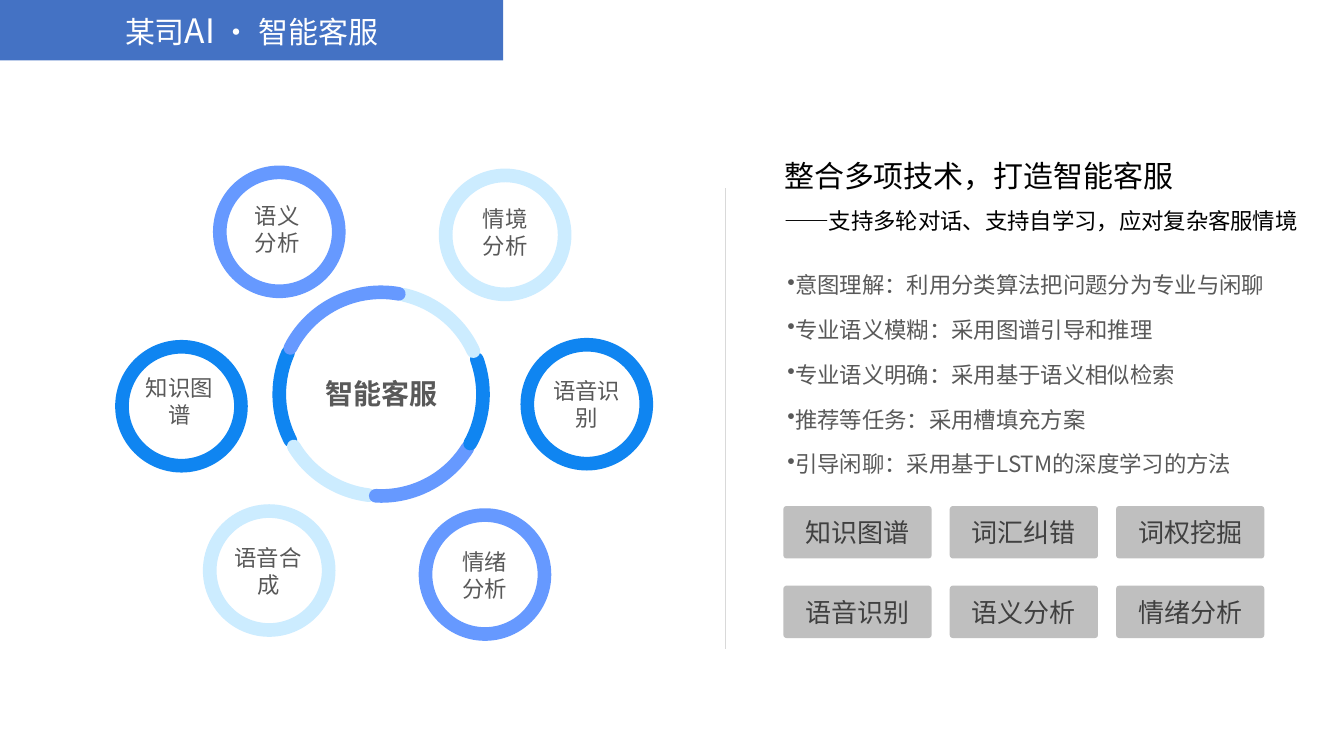
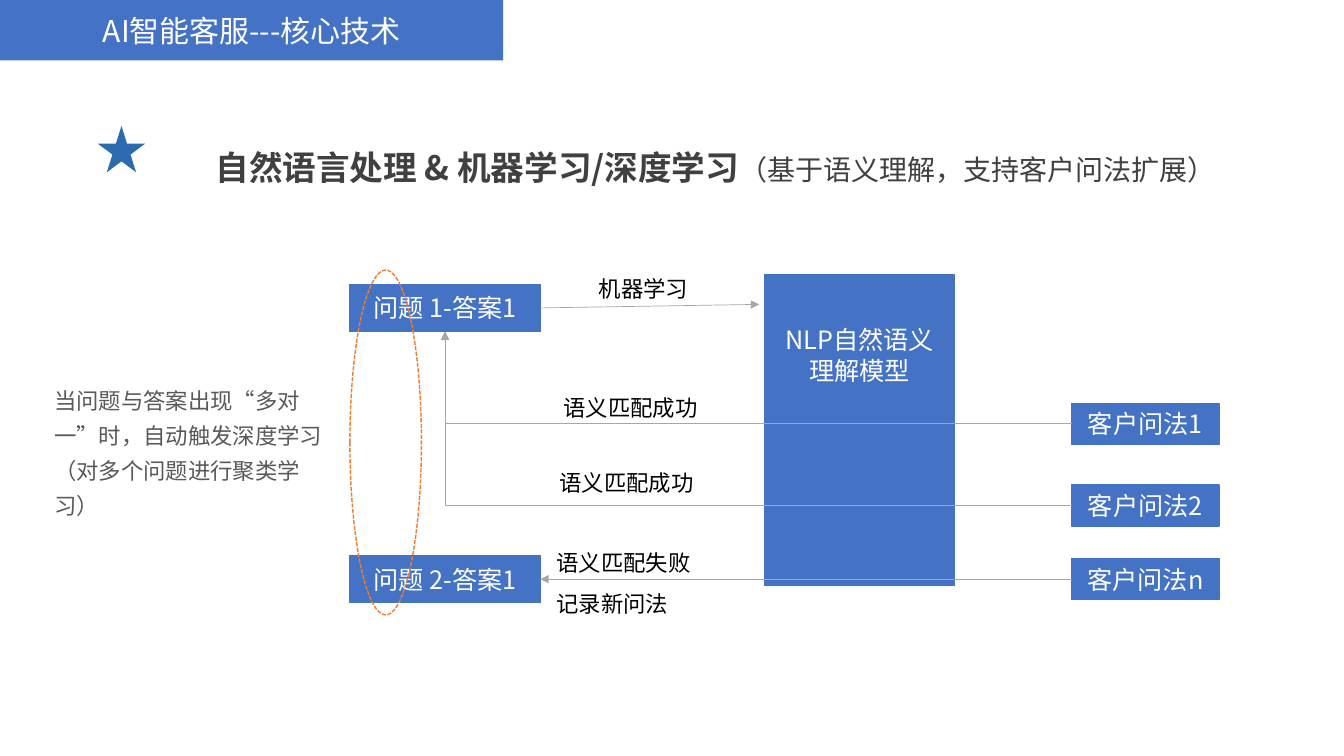
"""Build two slides on an intelligent customer service and its core technology."""
from lxml import etree
from pptx import Presentation
from pptx.dml.color import RGBColor
from pptx.enum.dml import MSO_LINE
from pptx.enum.shapes import MSO_CONNECTOR, MSO_SHAPE
from pptx.enum.text import MSO_ANCHOR, PP_ALIGN
from pptx.oxml.ns import qn
from pptx.util import Inches, Pt

RECT, ROUNDED = MSO_SHAPE.RECTANGLE, MSO_SHAPE.ROUNDED_RECTANGLE
OVAL, ARC, STAR = MSO_SHAPE.OVAL, MSO_SHAPE.ARC, MSO_SHAPE.STAR_5_POINT
STRAIGHT, ELBOW = MSO_CONNECTOR.STRAIGHT, MSO_CONNECTOR.ELBOW
LEFT, CENTER = PP_ALIGN.LEFT, PP_ALIGN.CENTER
TOP, MIDDLE = MSO_ANCHOR.TOP, MSO_ANCHOR.MIDDLE
DASHED = MSO_LINE.SQUARE_DOT
SIDE_LEFT, SIDE_BOTTOM, SIDE_RIGHT = 1, 2, 3

FONT = "Noto Sans CJK SC"
COLORS = {
    "brand": "4472C4", "white": "FFFFFF", "black": "000000",
    "body": "595959", "dark": "404040", "chip": "BFBFBF",
    "divider": "D9D9D9", "link": "A6A6A6", "focus": "ED7D31",
    "star": "2D6BB1", "violet": "6699FF", "azure": "0F85F1", "pale": "CCECFF",
}


def write(shape, *paragraphs, size=16, color="black", bold=False, align=LEFT,
          anchor=TOP, spacing=None, before=0, bullet=None):
    """Fill a shape with paragraphs, each a string or a list of (text, size, bold)."""
    frame = shape.text_frame
    frame.word_wrap = True
    frame.vertical_anchor = anchor
    for index, content in enumerate(paragraphs):
        paragraph = frame.add_paragraph() if index else frame.paragraphs[0]
        paragraph.alignment = align
        if spacing:
            paragraph.line_spacing = spacing
        if index and before:
            paragraph.space_before = Pt(before)
        if bullet:
            properties = paragraph._p.get_or_add_pPr()
            properties.set("marL", "0")
            properties.set("indent", "0")
            etree.SubElement(properties, qn("a:buChar"), char=bullet)
        runs = [(content, size, bold)] if isinstance(content, str) else content
        for text, run_size, run_bold in runs:
            run = paragraph.add_run()
            run.text = text
            run.font.size = Pt(run_size)
            run.font.bold = run_bold
            run.font.color.rgb = RGBColor.from_string(COLORS[color])
            run.font.name = FONT
            etree.SubElement(run._r.get_or_add_rPr(), qn("a:ea"), typeface=FONT)


def draw(slide, kind, left, top, width, height, fill=None, line=None, weight=1):
    """Add a preset shape with a plain fill and outline."""
    shape = slide.shapes.add_shape(
        kind, Inches(left), Inches(top), Inches(width), Inches(height))
    shape.shadow.inherit = False
    if fill:
        shape.fill.solid()
        shape.fill.fore_color.rgb = RGBColor.from_string(COLORS[fill])
    else:
        shape.fill.background()
    if line:
        shape.line.color.rgb = RGBColor.from_string(COLORS[line])
        shape.line.width = Pt(weight)
    else:
        shape.line.fill.background()
    return shape


deck = Presentation()
deck.slide_width, deck.slide_height = Inches(13.33), Inches(7.5)

HEADERS = [
    [("某司", 21.4, False), ("AI", 24, False), (" · 智能客服", 21.4, False)],
    [("AI智能客服---核心技术", 21.4, False)],
]
for header in HEADERS:
    slide = deck.slides.add_slide(deck.slide_layouts[6])
    band = draw(slide, RECT, 0, 0, 4.99, 0.6, fill="brand")
    write(band, header, color="white", align=CENTER, anchor=MIDDLE)
overview, technology = deck.slides

abilities = overview.shapes.add_textbox(
    Inches(7.67), Inches(2.49), Inches(5.44), Inches(2.63))
abilities.text_frame.margin_left = abilities.text_frame.margin_right = Inches(0.14)
abilities.text_frame.margin_top = abilities.text_frame.margin_bottom = Inches(0.07)
write(abilities,
      "意图理解：利用分类算法把问题分为专业与闲聊",
      "专业语义模糊：采用图谱引导和推理",
      "专业语义明确：采用基于语义相似检索",
      "推荐等任务：采用槽填充方案",
      "引导闲聊：采用基于LSTM的深度学习的方法",
      color="body", spacing=1.5, before=3.2, bullet="•")

headline = overview.shapes.add_textbox(
    Inches(7.68), Inches(1.34), Inches(5.5), Inches(1.04))
write(headline, [("整合多项技术，打造智能客服", 21.4, False)],
      "——支持多轮对话、支持自学习，应对复杂客服情境", spacing=1.5)

divider = overview.shapes.add_connector(
    STRAIGHT, Inches(7.19), Inches(1.87), Inches(7.19), Inches(6.44))

RING = 1.18
SATELLITES = [
    ("语义分析", 2.18, 1.71, "violet", 2.34, 1.96, 0.82),
    ("知识图谱", 1.21, 3.44, "azure", 1.33, 3.66, 0.9),
    ("语音合成", 2.08, 5.07, "pale", 2.2, 5.35, 0.92),
    ("语音识别", 5.23, 3.42, "azure", 5.37, 3.69, 0.9),
    ("情绪分析", 4.22, 5.11, "violet", 4.4, 5.39, 0.82),
    ("情境分析", 4.42, 1.74, "pale", 4.6, 1.99, 0.82),
]
for skill, left, top, color, text_left, text_top, text_width in SATELLITES:
    draw(overview, OVAL, left, top, RING, RING, line=color, weight=9.75)
    label = overview.shapes.add_textbox(
        Inches(text_left), Inches(text_top), Inches(text_width), Inches(0.64))
    write(label, skill, color="body", align=CENTER)

HUB_ARCS = [(153, 204, "azure"), (97, 149, "pale"), (32, 93, "violet"),
            (340, 29, "azure"), (283, 335, "pale"), (207, 280, "violet")]
for start, end, color in HUB_ARCS:
    arc = draw(overview, ARC, 2.77, 2.9, 2.02, 2.02, line=color, weight=9.75)
    arc.adjustments[0], arc.adjustments[1] = start * 0.6, end * 0.6
    arc.line._get_or_add_ln().set("cap", "rnd")
hub = overview.shapes.add_textbox(
    Inches(2.98), Inches(3.69), Inches(1.61), Inches(0.44))
write(hub, "智能客服", size=20, color="body", bold=True, align=CENTER)

MODULES = ["知识图谱", "词汇纠错", "词权挖掘", "语音识别", "语义分析", "情绪分析"]
for index, module in enumerate(MODULES):
    row, column = divmod(index, 3)
    chip = draw(overview, ROUNDED, 7.77 + 1.65 * column, 5.02 + 0.79 * row,
                1.47, 0.52, fill="chip")
    chip.adjustments[0] = 0.06
    write(chip, module, size=18.6, color="dark", align=CENTER, anchor=MIDDLE)

topic = technology.shapes.add_textbox(
    Inches(0.96), Inches(1.01), Inches(12.28), Inches(0.91))
write(topic, [("自然语言处理 & 机器学习/深度学习", 24, True),
              ("（基于语义理解，支持客户问法扩展）", 20, False)],
      color="dark", align=CENTER, spacing=2)
draw(technology, STAR, 0.97, 1.25, 0.47, 0.46, fill="star")

model = draw(technology, RECT, 7.58, 2.73, 1.89, 3.08, fill="brand", line="brand")
model.text_frame.margin_top = Inches(0.49)
write(model, "NLP自然语义理解模型", size=18, color="white", align=CENTER)

NODES = [
    ("问题 1-答案1", 3.47, 2.82, 1.89, 0.47),
    ("问题 2-答案1", 3.47, 5.51, 1.89, 0.47),
    ("客户问法1", 10.63, 4, 1.46, 0.41),
    ("客户问法2", 10.63, 4.81, 1.46, 0.41),
    ("客户问法n", 10.63, 5.54, 1.46, 0.41),
]
nodes = []
for caption, *place in NODES:
    node = draw(technology, RECT, *place, fill="brand", line="brand")
    write(node, caption, size=18, color="white", align=CENTER, anchor=MIDDLE)
    nodes.append(node)
answer_1, answer_2, query_1, query_2, query_n = nodes

learning = technology.shapes.add_connector(
    STRAIGHT, Inches(5.36), Inches(3.05), Inches(7.53), Inches(3.02))
learning.begin_connect(answer_1, SIDE_RIGHT)
arrows = [learning]
for query, answer, kind, side in [(query_1, answer_1, ELBOW, SIDE_BOTTOM),
                                  (query_2, answer_1, ELBOW, SIDE_BOTTOM),
                                  (query_n, answer_2, STRAIGHT, SIDE_RIGHT)]:
    arrow = technology.shapes.add_connector(kind, 0, 0, 0, 0)
    arrow.begin_connect(query, SIDE_LEFT)
    arrow.end_connect(answer, side)
    if kind == ELBOW:
        arrow._element.spPr.find(qn("a:prstGeom")).set("prst", "bentConnector2")
    arrows.append(arrow)

for connector in [divider, *arrows]:
    color = "divider" if connector is divider else "link"
    connector.line.color.rgb = RGBColor.from_string(COLORS[color])
    connector.line.width = Pt(0.5)
    if connector is not divider:
        etree.SubElement(connector.line._get_or_add_ln(), qn("a:tailEnd"),
                         type="triangle")
    etree.SubElement(connector._element.spPr, qn("a:effectLst"))

NOTES = [
    (["机器学习"], 5.84, 2.68, 1.26, 0.37, None, "black"),
    (["语义匹配成功"], 5.49, 3.86, 1.6, 0.37, None, "black"),
    (["语义匹配成功"], 5.45, 4.61, 1.71, 0.37, None, "black"),
    (["语义匹配失败", "记录新问法"], 5.42, 5.27, 1.71, 0.91, 1.5, "black"),
    (["当问题与答案出现“多对一”时，自动触发深度学习", "（对多个问题进行聚类学习）"],
     0.44, 3.71, 2.96, 1.15, 1.3, "body"),
]
for lines, left, top, width, height, spacing, color in NOTES:
    note = technology.shapes.add_textbox(
        Inches(left), Inches(top), Inches(width), Inches(height))
    write(note, *lines, color=color, spacing=spacing)

cluster = draw(technology, OVAL, 3.47, 2.68, 0.71, 3.42, line="focus")
cluster.line.dash_style = DASHED

deck.save("out.pptx")
